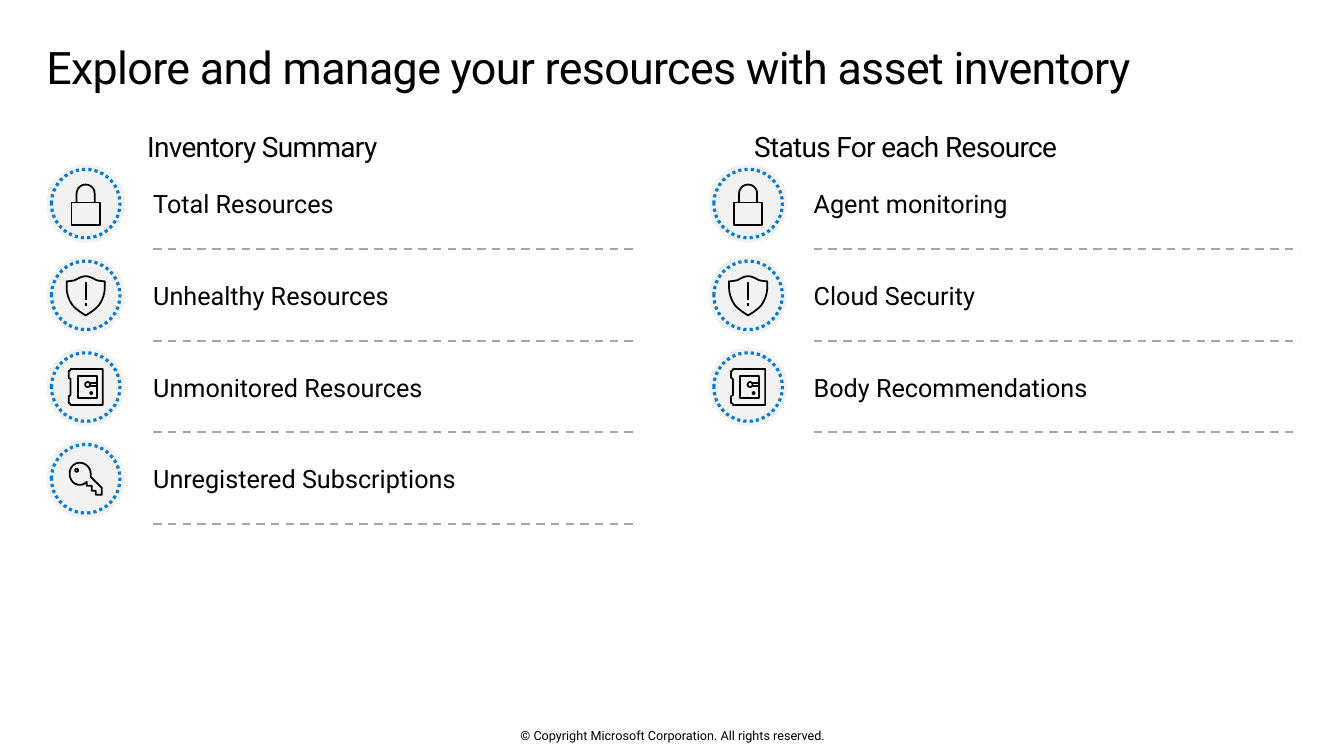
from math import cos, pi, sin

from lxml.etree import SubElement
from pptx import Presentation
from pptx.dml.color import RGBColor
from pptx.enum.dml import MSO_LINE
from pptx.enum.shapes import MSO_CONNECTOR, MSO_SHAPE
from pptx.enum.text import MSO_ANCHOR, MSO_AUTO_SIZE, PP_ALIGN
from pptx.oxml.ns import qn
from pptx.util import Inches, Pt

TITLE = "Explore and manage your resources with asset inventory"
FOOTER = "© Copyright Microsoft Corporation. All rights reserved."
# Each column: badge left, heading left, text left, heading, (icon, label) rows
COLUMNS = [
    (0.46, 1.46, 1.52, "Inventory Summary", [
        ("lock", "Total Resources"),
        ("shield", "Unhealthy Resources"),
        ("safe", "Unmonitored Resources"),
        ("key", "Unregistered Subscriptions"),
    ]),
    (7.03, 7.48, 8.07, "Status For each Resource", [
        ("lock", "Agent monitoring"),
        ("shield", "Cloud Security"),
        ("safe", "Body Recommendations"),
    ]),
]
COLORS = {"text": "000000", "badge": "F2F2F2", "ring": "0078D4", "divider": "A6A6A6"}
FONT = "Roboto"
ROW_TOP, ROW_PITCH = 1.63, 0.91
BADGE, RING = 0.78, 0.68


def circle(cx, cy, radius, steps=16):
    angles = [2 * pi * i / steps for i in range(steps)]
    return True, [(cx + radius * cos(a), cy + radius * sin(a)) for a in angles]


# Icon outlines as (closed, points), in hundredths of an inch from the badge centre.
# A pair is a straight step; six numbers are a Bézier curve.
ICONS = {
    "lock": [
        (True, [(14, 21), (-14, 21), (-14, -1), (14, -1)]),
        (False, [(9, -1), (9, -10), (9, -15, 5, -19, 0, -19),
                 (-5, -19, -9, -15, -9, -10), (-9, -1)]),
    ],
    "shield": [
        (True, [(-13, 10), (-19, 2, -19, -7, -19, -7), (-19, -14),
                (-19, -14, -15, -14, -11, -15), (-7, -17, -4, -19, 0, -19),
                (4, -19, 7, -17, 11, -15), (15, -14, 19, -14, 19, -14), (19, -7),
                (19, -7, 19, 2, 13, 10), (9, 15, 0, 20, 0, 20),
                (0, 20, -9, 15, -13, 10)]),
        (False, [(0, -13), (0, 5)]),
        (False, [(0, 8), (0, 11)]),
    ],
    "safe": [
        (True, [(17, -18), (17, 18), (-15, 18), (-15, 17, -16, 16, -17, 16),
                (-17, 9), (-16, 9, -15, 8, -15, 7), (-15, -7),
                (-15, -8, -16, -9, -17, -9), (-17, -16),
                (-16, -16, -15, -17, -15, -18)]),
        (True, [(11, -11), (-8, -11), (-8, 11), (11, 11)]),
        circle(2, -2.5, 2.5),
        circle(5.5, 6, 1),
        (False, [(4, -4), (11, -4)]),
        (False, [(4, -1), (11, -1)]),
    ],
    "key": [
        (True, [(1, 3), (-1, 5, -3, 6, -6, 6), (-12, 6, -16, 1, -16, -5),
                (-16, -11, -12, -16, -6, -16), (0, -16, 5, -11, 5, -5),
                (5, -4, 5, -3, 5, -2), (16, 9), (16, 16), (10, 16), (10, 12),
                (6, 12), (6, 7), (1, 7)]),
        circle(-9, -8.5, 1.5),
    ],
}


def rgb(name):
    return RGBColor.from_string(COLORS[name])


def flatten(points, steps=8):
    """Turn straight and curved steps into plain vertices."""
    flat = [points[0]]
    for point in points[1:]:
        if len(point) == 2:
            flat.append(point)
            continue
        (x0, y0), (x1, y1, x2, y2, x3, y3) = flat[-1], point
        for i in range(1, steps + 1):
            t = i / steps
            u = 1 - t
            a, b, c, d = u ** 3, 3 * u * u * t, 3 * u * t * t, t ** 3
            flat.append((a * x0 + b * x1 + c * x2 + d * x3,
                         a * y0 + b * y1 + c * y2 + d * y3))
    return flat


def set_line(sp, color, width, dash=None):
    sp.line.color.rgb = rgb(color)
    sp.line.width = Pt(width)
    if dash:
        sp.line.dash_style = dash


def write(sp, text, size, anchor=MSO_ANCHOR.MIDDLE, align=PP_ALIGN.LEFT,
          insets=(0, 0, 0, 0), spacing=0):
    tf = sp.text_frame
    left, top, right, bottom = map(Inches, insets)
    frame = {"word_wrap": True, "auto_size": MSO_AUTO_SIZE.NONE,
             "vertical_anchor": anchor, "margin_left": left, "margin_top": top,
             "margin_right": right, "margin_bottom": bottom}
    for name, value in frame.items():
        setattr(tf, name, value)
    p = tf.paragraphs[0]
    p.alignment = align
    r = p.add_run()
    r.text = text
    for name, value in {"name": FONT, "size": Pt(size), "bold": False}.items():
        setattr(r.font, name, value)
    r.font.color.rgb = rgb("text")
    if spacing:
        r.font._element.set("spc", str(int(spacing * 100)))
    return p


def add_text(box, text, size, **options):
    write(slide.shapes.add_textbox(*map(Inches, box)), text, size, **options)


def add_disc(cx, cy, diameter):
    sp = slide.shapes.add_shape(
        MSO_SHAPE.OVAL, Inches(cx - diameter / 2), Inches(cy - diameter / 2),
        Inches(diameter), Inches(diameter))
    sp.shadow.inherit = False
    return sp


def add_icon(name, cx, cy):
    outlines = [(closed, [(round(x * 100), round(y * 100)) for x, y in flatten(points)])
                for closed, points in ICONS[name]]
    builder = slide.shapes.build_freeform(*outlines[0][1][0], scale=Inches(0.0001))
    for i, (closed, points) in enumerate(outlines):
        if i:
            builder.move_to(*points[0])
        builder.add_line_segments(points[1:], close=closed)
    sp = builder.convert_to_shape(Inches(cx), Inches(cy))
    sp.shadow.inherit = False
    sp.fill.background()
    set_line(sp, "text", 1.25)


def add_badge(icon, cx, cy):
    disc = add_disc(cx, cy, BADGE)
    disc.fill.solid()
    disc.fill.fore_color.rgb = rgb("badge")
    disc.line.fill.background()
    ring = add_disc(cx, cy, RING)
    ring.fill.background()
    set_line(ring, "ring", 2.25, MSO_LINE.ROUND_DOT)
    add_icon(icon, cx, cy)


def add_divider(x, y):
    line = slide.shapes.add_connector(
        MSO_CONNECTOR.STRAIGHT, Inches(x), Inches(y), Inches(x + 4.82), Inches(y))
    set_line(line, "divider", 1.5, MSO_LINE.DASH)
    SubElement(line._element.spPr, qn("a:effectLst"))


prs = Presentation()
prs.slide_width, prs.slide_height = Inches(13.33), Inches(7.5)
slide = prs.slides.add_slide(prs.slide_layouts[5])

title = slide.shapes.title
title.left, title.top, title.width, title.height = map(Inches, (0.46, 0.35, 12.4, 0.74))
p = write(title, TITLE, 32, anchor=MSO_ANCHOR.TOP, insets=(0, 0.1, 0.16, 0.1), spacing=-0.5)
p.line_spacing = 0.9

for badge_x, heading_x, text_x, heading, rows in COLUMNS:
    add_text((heading_x, 1.28, 4.8, 0.34), heading, 20, spacing=-0.5)
    for i, (icon, label) in enumerate(rows):
        top = ROW_TOP + i * ROW_PITCH
        add_badge(icon, badge_x + BADGE / 2, top + BADGE / 2)
        add_text((text_x, top + 0.03, 4.8, 0.72), label, 18)
        add_divider(text_x, top + 0.84)

add_text((4.42, 7.22, 4.5, 0.15), FOOTER, 9, align=PP_ALIGN.CENTER)

prs.save("out.pptx")
